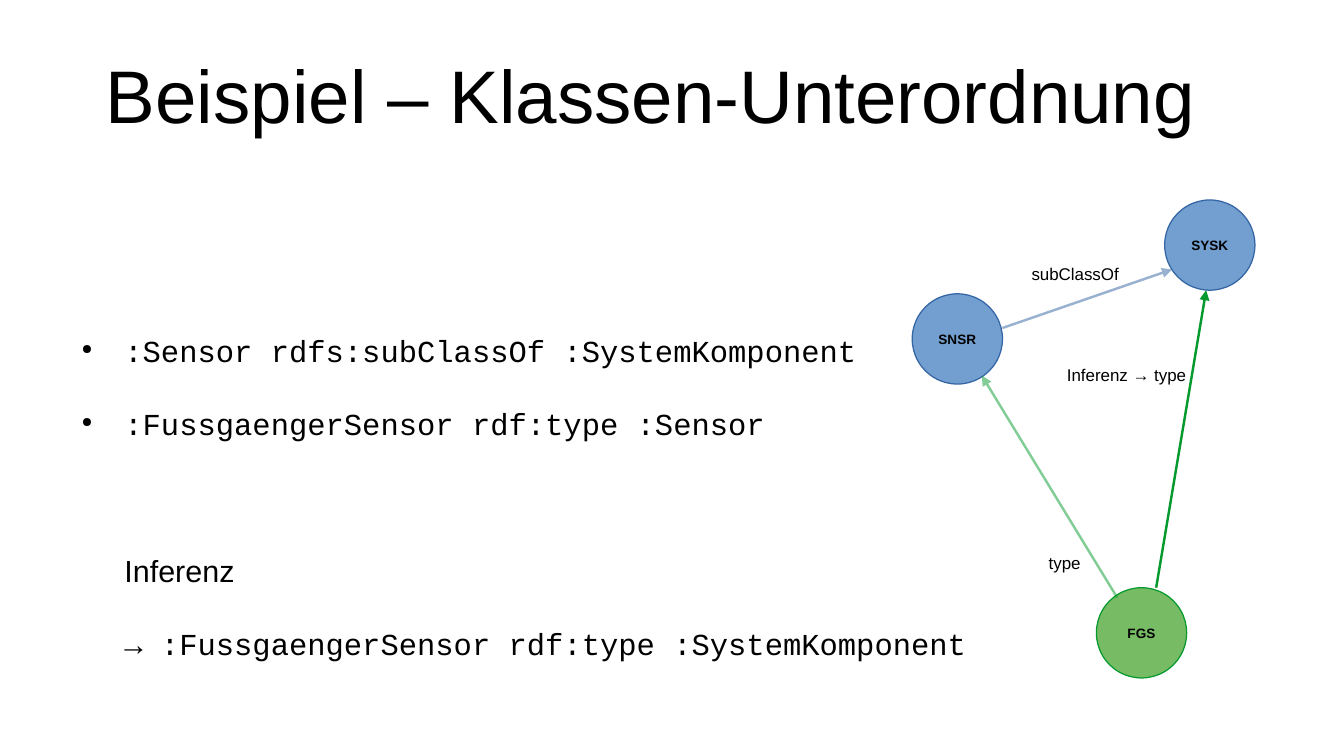
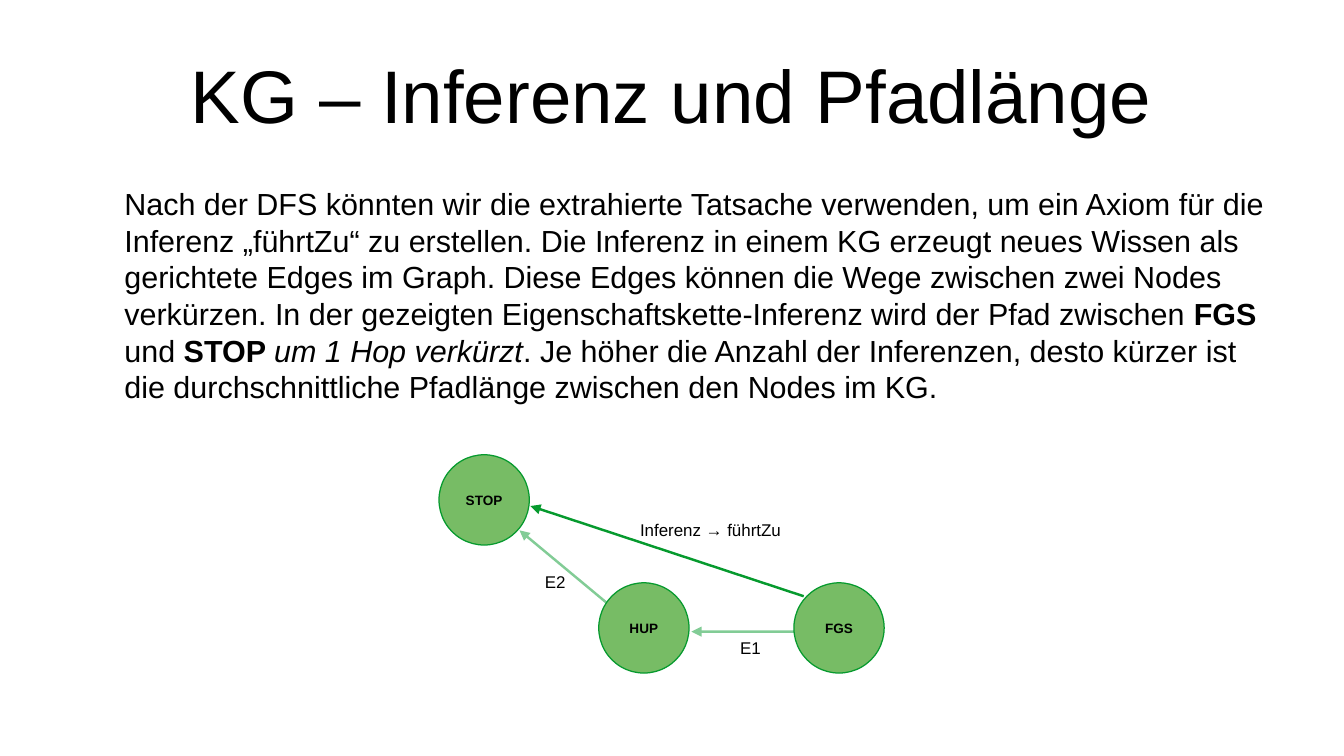
from lxml import etree
from pptx import Presentation
from pptx.dml.color import RGBColor
from pptx.enum.shapes import MSO_CONNECTOR, MSO_SHAPE
from pptx.enum.text import MSO_ANCHOR, MSO_AUTO_SIZE, PP_ALIGN
from pptx.oxml.ns import qn
from pptx.util import Inches, Pt

STRAIGHT = MSO_CONNECTOR.STRAIGHT
OVAL = MSO_SHAPE.OVAL
MIDDLE = MSO_ANCHOR.MIDDLE
CENTER = PP_ALIGN.CENTER
NO_AUTOFIT = MSO_AUTO_SIZE.NONE
TITLE_ONLY = 5

# Shared style
BLACK = RGBColor(0x00, 0x00, 0x00)
BLUE_FILL = RGBColor(0x72, 0x9F, 0xCF)
BLUE_LINE = RGBColor(0x34, 0x65, 0xA4)
GREEN_FILL = RGBColor(0x77, 0xBC, 0x65)
GREEN_LINE = RGBColor(0x06, 0x9A, 0x2E)
CLASS_NODE = (BLUE_FILL, BLUE_LINE)
INSTANCE_NODE = (GREEN_FILL, GREEN_LINE)
SANS, MONO = "Arial", "Courier New"
LEFT, TEXT_WIDTH = 0.55, 9.92
NODE_SIZE = 0.74
TEXT_INDENT, BULLET_HANG = 0.47, 0.35
SPACE_BEFORE, SPACE_AFTER = 11.9, 9.9
SECTION_GAP = 55
FAINT, SOLID = 50, 100

# Body paragraphs: runs of (text, bold, italic), font, bullet, space before
# Nodes: label, left, top, style; arrows: start, end, colour, opacity
# Labels: text, left, top, width
SLIDES = [
    {
        "title": "Beispiel – Klassen-Unterordnung",
        "title_right_inset": 0.34,
        "body_box": (2.72, TEXT_WIDTH, 3.0),
        "body": [
            ([(":Sensor rdfs:subClassOf :SystemKomponent", False, False)],
             MONO, True, SPACE_BEFORE),
            ([(":FussgaengerSensor rdf:type :Sensor", False, False)],
             MONO, True, SPACE_BEFORE),
            ([("Inferenz", False, False)], SANS, False, SECTION_GAP),
            ([("→ :FussgaengerSensor rdf:type :SystemKomponent", False, False)],
             MONO, False, SPACE_BEFORE),
        ],
        "nodes": [
            ("SNSR", 7.48, 2.41, CLASS_NODE),
            ("SYSK", 9.55, 1.64, CLASS_NODE),
            ("FGS", 8.99, 4.82, INSTANCE_NODE),
        ],
        "arrows": [
            ((8.22, 2.69), (9.61, 2.21), BLUE_LINE, FAINT),
            ((9.16, 4.9), (8.05, 3.08), GREEN_LINE, FAINT),
            ((9.48, 4.82), (9.89, 2.38), GREEN_LINE, SOLID),
        ],
        "labels": [
            ("subClassOf", 8.36, 2.11, 1.07),
            ("type", 8.5, 4.48, 0.48),
            ("Inferenz → type", 8.65, 2.94, 1.23),
        ],
    },
    {
        "title": "KG – Inferenz und Pfadlänge",
        "title_right_inset": 0,
        "body_box": (1.52, 9.97, 4.2),
        "body": [
            ([("Nach der DFS könnten wir die extrahierte Tatsache verwenden, um "
               "ein Axiom für die Inferenz „führtZu“ zu erstellen. Die Inferenz "
               "in einem KG erzeugt neues Wissen als gerichtete Edges im Graph. "
               "Diese Edges können die Wege zwischen zwei Nodes verkürzen. In "
               "der gezeigten Eigenschaftskette-Inferenz wird der Pfad zwischen ",
               False, False),
              ("FGS", True, False),
              (" und ", False, False),
              ("STOP ", True, False),
              ("um 1 Hop verkürzt", False, True),
              (". Je höher die Anzahl der Inferenzen, desto kürzer ist die "
               "durchschnittliche Pfadlänge zwischen den Nodes im KG.",
               False, False)],
             SANS, False, SPACE_BEFORE),
        ],
        "nodes": [
            ("FGS", 6.51, 4.78, INSTANCE_NODE),
            ("HUP", 4.91, 4.78, INSTANCE_NODE),
            ("STOP", 3.6, 3.73, INSTANCE_NODE),
        ],
        "arrows": [
            ((6.51, 5.18), (5.67, 5.18), GREEN_LINE, FAINT),
            ((4.97, 4.94), (4.26, 4.35), GREEN_LINE, FAINT),
            ((6.59, 4.89), (4.35, 4.15), GREEN_LINE, SOLID),
        ],
        "labels": [
            ("E1", 5.97, 5.18, 0.4),
            ("E2", 4.37, 4.64, 0.41),
            ("Inferenz → führtZu", 5.15, 4.21, 1.44),
        ],
    },
]


def style_font(para, name, size, bold=None):
    para.font.name = name
    para.font.size = Pt(size)
    para.font.bold = bold
    para.font.color.rgb = BLACK


def clear_insets(frame):
    frame.margin_left = frame.margin_right = 0
    frame.margin_top = frame.margin_bottom = 0


def set_title(page, text, right_inset):
    title = page.shapes.title
    title.left, title.top = Inches(LEFT), Inches(0.25)
    title.width, title.height = Inches(TEXT_WIDTH), Inches(1.04)
    frame = title.text_frame
    frame.text = text
    frame.word_wrap = True
    frame.auto_size = NO_AUTOFIT
    frame.vertical_anchor = MIDDLE
    clear_insets(frame)
    frame.margin_right = Inches(right_inset)
    para = frame.paragraphs[0]
    para.alignment = CENTER
    style_font(para, SANS, 44)


def set_indent(para, bullet):
    properties = para._p.get_or_add_pPr()
    properties.set("marL", str(Inches(TEXT_INDENT)))
    properties.set("indent", str(-Inches(BULLET_HANG) if bullet else 0))
    if bullet:
        etree.SubElement(properties, qn("a:buSzPct")).set("val", "45000")
        etree.SubElement(properties, qn("a:buChar")).set("char", "●")
    else:
        etree.SubElement(properties, qn("a:buNone"))


def add_body(page, box_place, content):
    top, width, height = box_place
    box = page.shapes.add_textbox(
        Inches(LEFT), Inches(top), Inches(width), Inches(height))
    frame = box.text_frame
    frame.word_wrap = True
    clear_insets(frame)
    for index, (spans, font_name, bullet, space_before) in enumerate(content):
        para = frame.add_paragraph() if index else frame.paragraphs[0]
        para.space_before = Pt(space_before)
        para.space_after = Pt(SPACE_AFTER)
        set_indent(para, bullet)
        style_font(para, font_name, 18)
        for text, bold, italic in spans:
            span = para.add_run()
            span.text = text
            if bold:
                span.font.bold = True
            if italic:
                span.font.italic = True


def add_node(page, label, left, top, style):
    fill, line = style
    node = page.shapes.add_shape(
        OVAL, Inches(left), Inches(top), Inches(NODE_SIZE), Inches(NODE_SIZE))
    node.shadow.inherit = False
    node.fill.solid()
    node.fill.fore_color.rgb = fill
    node.line.color.rgb = line
    node.line.width = Pt(0)
    frame = node.text_frame
    frame.text = label
    frame.word_wrap = False
    frame.vertical_anchor = MIDDLE
    para = frame.paragraphs[0]
    para.alignment = CENTER
    style_font(para, SANS, 8, bold=True)


def add_arrow(page, start, end, color, opacity):
    arrow = page.shapes.add_connector(
        STRAIGHT, *(Inches(value) for value in start + end))
    arrow.line.color.rgb = color
    arrow.line.width = Pt(1.45)
    properties = arrow._element.spPr
    line = properties.find(qn("a:ln"))
    if opacity < SOLID:
        tint = line.find(".//" + qn("a:srgbClr"))
        etree.SubElement(tint, qn("a:alpha")).set("val", str(opacity * 1000))
    etree.SubElement(line, qn("a:tailEnd")).set("type", "triangle")
    etree.SubElement(properties, qn("a:effectLst"))


def add_label(page, text, left, top, width):
    box = page.shapes.add_textbox(
        Inches(left), Inches(top), Inches(width), Inches(0.26))
    box.text_frame.word_wrap = True
    box.text_frame.text = text
    style_font(box.text_frame.paragraphs[0], SANS, 10)


def main():
    deck = Presentation()
    deck.slide_width, deck.slide_height = Inches(11.02), Inches(6.2)
    for content in SLIDES:
        page = deck.slides.add_slide(deck.slide_layouts[TITLE_ONLY])
        set_title(page, content["title"], content["title_right_inset"])
        add_body(page, content["body_box"], content["body"])
        for node in content["nodes"]:
            add_node(page, *node)
        for arrow in content["arrows"]:
            add_arrow(page, *arrow)
        for label in content["labels"]:
            add_label(page, *label)
    deck.save("out.pptx")


if __name__ == "__main__":
    main()
